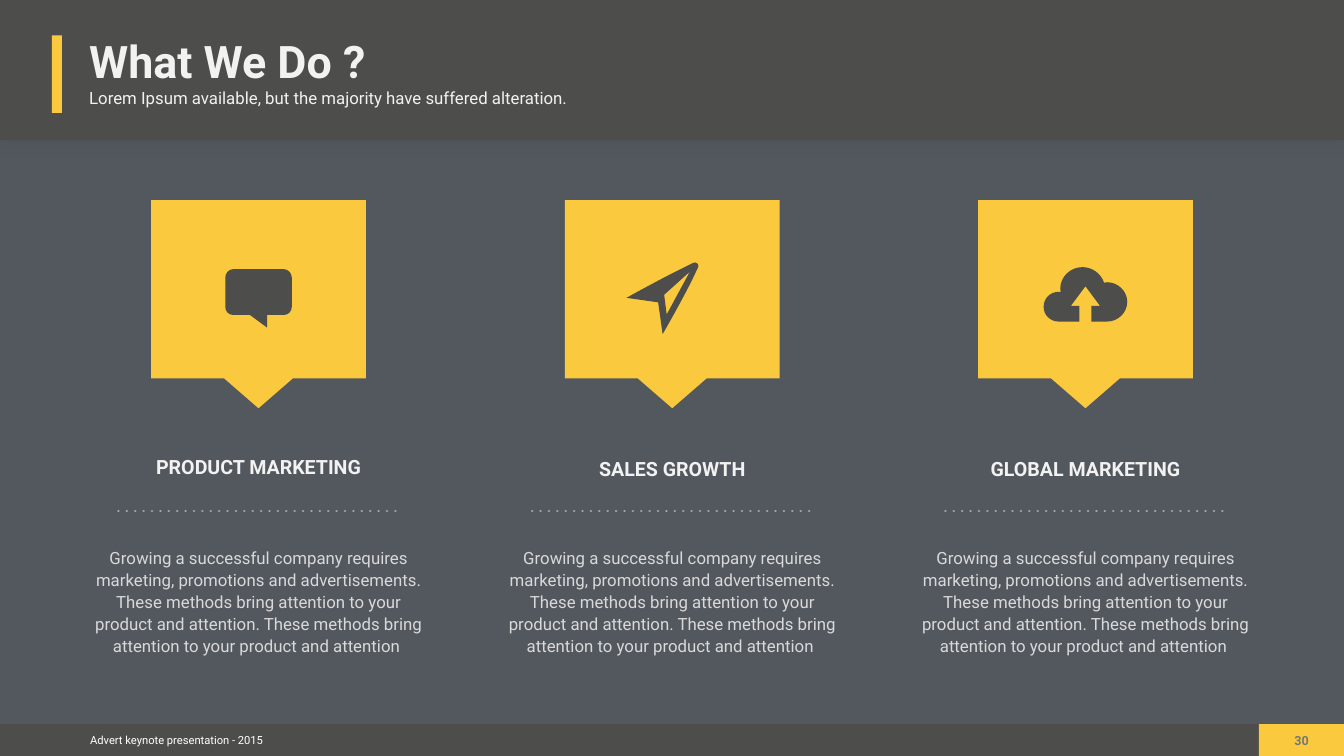
from lxml import etree
from pptx import Presentation
from pptx.dml.color import RGBColor
from pptx.enum.shapes import MSO_CONNECTOR, MSO_SHAPE
from pptx.enum.text import MSO_ANCHOR, MSO_AUTO_SIZE, PP_ALIGN
from pptx.oxml import parse_xml
from pptx.oxml.ns import nsdecls, qn
from pptx.util import Pt

PX = 9144
RECTANGLE = MSO_SHAPE.RECTANGLE
STRAIGHT = MSO_CONNECTOR.STRAIGHT
TOP, MIDDLE = MSO_ANCHOR.TOP, MSO_ANCHOR.MIDDLE
LEFT, CENTER = PP_ALIGN.LEFT, PP_ALIGN.CENTER
FIXED = MSO_AUTO_SIZE.NONE

COLORS = {
    "background": "53585F", "dark": "4D4E4C", "accent": "FAC93D",
    "white": "FFFFFF", "light": "F2F2F2", "body": "D9D9D9",
    "number": "777776", "dots": "A6AAA9",
}
COLORS = {name: RGBColor.from_string(value) for name, value in COLORS.items()}


def write_text(shape, text, size, color, bold=False, align=LEFT, anchor=TOP, wrap=True, spacing=1.0):
    frame = shape.text_frame
    frame.text = text
    frame_format = {
        "auto_size": FIXED, "word_wrap": wrap, "vertical_anchor": anchor,
        "margin_left": 8 * PX, "margin_right": 8 * PX,
        "margin_top": 8 * PX, "margin_bottom": 8 * PX,
    }
    for name, value in frame_format.items():
        setattr(frame, name, value)
    paragraph = frame.paragraphs[0]
    for name, value in {"alignment": align, "line_spacing": spacing, "space_before": Pt(0)}.items():
        setattr(paragraph, name, value)
    font = paragraph.runs[0].font
    for name, value in {"name": "Roboto", "size": Pt(size), "bold": bold}.items():
        setattr(font, name, value)
    font.color.rgb = COLORS[color]


def draw_outline(contours, color):
    builder = slide.shapes.build_freeform(contours[0][0][0] * PX, contours[0][0][1] * PX)
    segments = []
    for index, (start, *contour) in enumerate(contours):
        if index:
            builder.move_to(start[0] * PX, start[1] * PX)
        builder.add_line_segments([(x * PX, y * PX) for *_, x, y in contour], close=True)
        segments += contour
    shape = builder.convert_to_shape()
    for element, segment in zip(list(shape.element.iter(qn("a:lnTo"))), segments):
        if len(segment) == 6:
            curve = etree.Element(qn("a:cubicBezTo"))
            for x, y in zip(segment[::2], segment[1::2]):
                etree.SubElement(curve, qn("a:pt"), x=str(x * PX - shape.left), y=str(y * PX - shape.top))
            element.getparent().replace(element, curve)
    shape.shadow.inherit = False
    shape.fill.solid()
    shape.fill.fore_color.rgb = COLORS[color]
    shape.line.fill.background()


presentation = Presentation()
presentation.slide_width = 2667 * PX
presentation.slide_height = 1500 * PX
slide = presentation.slides.add_slide(presentation.slide_layouts[5])
slide.background.fill.solid()
slide.background.fill.fore_color.rgb = COLORS["background"]

bars = {
    "header": (0, 0, 2667, 278, "dark"),
    "footer": (0, 1437, 2667, 63, "dark"),
    "number": (2498, 1437, 169, 63, "accent"),
    "title mark": (103, 70, 20, 154, "accent"),
}
for name, (left, top, width, height, color) in bars.items():
    bar = slide.shapes.add_shape(RECTANGLE, left * PX, top * PX, width * PX, height * PX)
    bar.shadow.inherit = False
    bar.fill.solid()
    bar.fill.fore_color.rgb = COLORS[color]
    bar.line.fill.background()
    if name == "header":
        effects = bar.element.spPr.find(qn("a:effectLst"))
        effects.append(parse_xml(
            f'<a:outerShdw {nsdecls("a")} blurRad="{Pt(26)}" dist="{Pt(2)}" dir="5400000" rotWithShape="0">'
            '<a:srgbClr val="000000"><a:alpha val="5000"/></a:srgbClr></a:outerShdw>'))

title = slide.shapes.title
slide.shapes.element.append(title.element)
for name, value in {"left": 169, "top": 59, "width": 574, "height": 123}.items():
    setattr(title, name, value * PX)
write_text(title, "What We Do ?", 64, "light", bold=True, anchor=MIDDLE, wrap=False)

DESCRIPTION = ("Growing a successful company requires marketing, promotions and advertisements. "
               "These methods bring attention to your product and attention. "
               "These methods bring attention to your product and attention ")
HEADING = {"size": 28, "color": "light", "bold": True, "align": CENTER, "spacing": 1.2}
BODY = {"size": 24, "color": "body", "align": CENTER, "anchor": MIDDLE, "spacing": 1.1}
texts = [
    (169, 167, 1074, 56, "Lorem Ipsum available, but the majority have suffered alteration.",
     {"size": 24, "color": "light"}),
    (168, 1446, 365, 45, "Advert keynote presentation - 2015",
     {"size": 16, "color": "white", "align": CENTER, "anchor": MIDDLE, "wrap": False}),
    (2560, 1447, 46, 49, "30",
     {"size": 18, "color": "number", "bold": True, "align": CENTER, "wrap": False}),
]

columns = [("PRODUCT MARKETING", 886, 556), ("SALES GROWTH", 890, 312), ("GLOBAL MARKETING", 890, 416)]
for index, (heading, heading_top, heading_width) in enumerate(columns):
    center = (1027 + 1641 * index) // 2
    left, right = center - 213, center + 213
    draw_outline([[(left, 397), (left, 751), (center - 68, 751), (center, 810),
                   (center + 68, 751), (right, 751), (right, 397)]], "accent")
    texts.append((center - heading_width // 2, heading_top, heading_width, 72, heading, HEADING))
    texts.append((center - 344, 1073, 688, 238, DESCRIPTION, BODY))

    line = slide.shapes.add_connector(STRAIGHT, (center - 278) * PX, 1014 * PX, (center + 278) * PX, 1014 * PX)
    line.line.color.rgb = COLORS["dots"]
    line.line.width = Pt(4)
    outline = line.element.spPr.find(qn("a:ln"))
    outline.set("cap", "rnd")
    dashes = etree.SubElement(outline, qn("a:custDash"))
    etree.SubElement(dashes, qn("a:ds"), d="100000", sp="200000")
    etree.SubElement(line.element.spPr, qn("a:effectLst"))

for left, top, width, height, text, text_format in texts:
    box = slide.shapes.add_textbox(left * PX, top * PX, width * PX, height * PX)
    write_text(box, text, **text_format)

speech_bubble = [[
    (579, 551), (579, 609), (579, 618, 572, 625, 563, 625), (530, 625), (530, 650),
    (496, 625), (463, 625), (454, 625, 447, 618, 447, 609), (447, 551),
    (447, 542, 454, 534, 463, 534), (563, 534), (572, 534, 579, 542, 579, 551),
]]
paper_plane = [
    [(1323, 624), (1318, 585), (1369, 539)],
    [(1384, 523), (1379, 518, 1375, 522, 1359, 530), (1317, 550, 1243, 591, 1243, 591),
     (1306, 600), (1315, 663), (1315, 663, 1357, 590, 1377, 548),
     (1384, 532, 1389, 528, 1384, 523)],
]
upload_cloud = [[
    (2237, 599), (2237, 620, 2219, 638, 2197, 638), (2166, 638), (2166, 607), (2183, 607),
    (2154, 568), (2125, 607), (2142, 607), (2142, 638), (2101, 638),
    (2084, 638, 2071, 625, 2071, 609), (2071, 592, 2084, 579, 2101, 579),
    (2102, 579, 2103, 579, 2105, 579), (2104, 577, 2104, 575, 2104, 573),
    (2104, 549, 2124, 530, 2148, 530), (2168, 530, 2185, 543, 2191, 561),
    (2193, 560, 2195, 560, 2197, 560), (2219, 560, 2237, 578, 2237, 599),
]]
for icon in (speech_bubble, paper_plane, upload_cloud):
    draw_outline(icon, "dark")

presentation.save("out.pptx")
